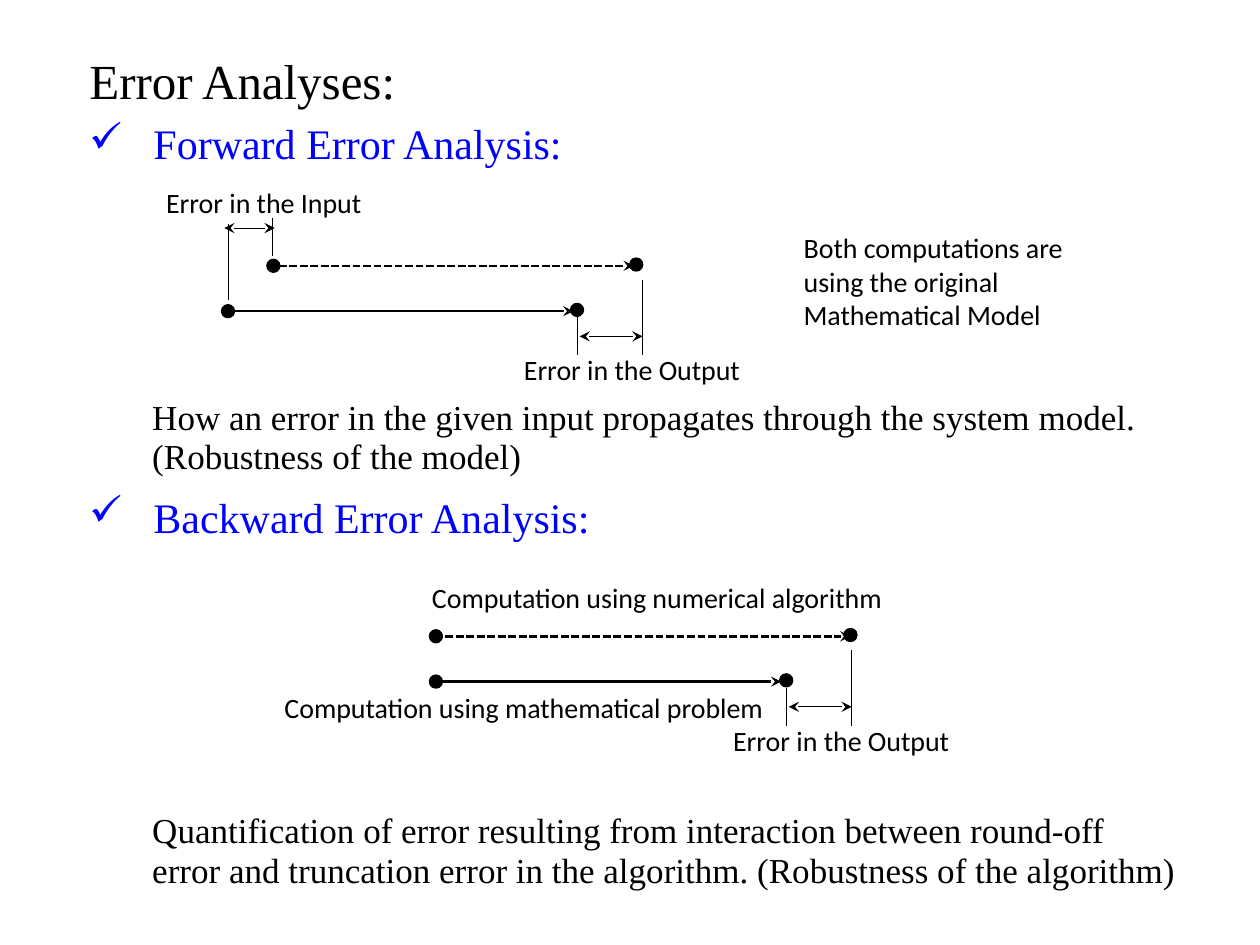
from dataclasses import dataclass

from pptx import Presentation
from pptx.dml.color import RGBColor
from pptx.enum.dml import MSO_LINE
from pptx.enum.shapes import MSO_CONNECTOR, MSO_SHAPE
from pptx.enum.text import MSO_ANCHOR, MSO_AUTO_SIZE, PP_ALIGN
from pptx.oxml.ns import qn
from pptx.shapes.group import GroupShape
from pptx.text.text import TextFrame
from pptx.util import Inches, Pt
from lxml.etree import SubElement

COLORS = {"ink": "000000", "heading": "0000FF"}
SERIF, SANS = "Times New Roman", "Calibri"
LINE_SPACING = 0.94
DOT_SIZE = 0.1


@dataclass
class OutlineItem:
    text: str
    gap_before: float
    is_heading: bool = False


@dataclass
class Computation:
    """An arrow from an input dot to an output dot."""
    y: float
    arrow_from: float
    arrow_to: float
    input_x: float
    output_x: float
    dashed: bool = False


@dataclass
class Label:
    text: str
    left: float
    top: float
    width: float
    height: float = 0.37


@dataclass
class Diagram:
    exact: Computation
    perturbed: Computation
    output_tick_x: float
    labels: list[Label]


OUTLINE = [
    OutlineItem("Forward Error Analysis:", 0, True),
    OutlineItem("How an error in the given input propagates through the system "
                "model. (Robustness of the model)", 131),
    OutlineItem("Backward Error Analysis:", 10, True),
    OutlineItem("Quantification of error resulting from interaction between "
                "round-off error and truncation error in the algorithm. "
                "(Robustness of the algorithm)", 154),
]
FORWARD = Diagram(
    Computation(2.47, 1.85, 4.55, 1.81, 4.58),
    Computation(2.11, 2.13, 5.03, 2.17, 5.05, True),
    5.1,
    [Label("Error in the Input", 1.22, 1.42, 1.86),
     Label("Both computations are using the original Mathematical Model",
           6.28, 1.78, 2.5, 0.91)],
)
BACKWARD = Diagram(
    Computation(5.41, 3.5, 6.2, 3.46, 6.24),
    Computation(5.05, 3.45, 6.75, 3.46, 6.75, True),
    6.76,
    [Label("Computation using numerical algorithm", 3.33, 4.56, 3.81),
     Label("Computation using mathematical problem", 2.16, 5.43, 4.14)],
)


def color(name: str) -> RGBColor:
    return RGBColor.from_string(COLORS[name])


def add_run(paragraph, text: str, font_name: str, size: float,
            color_name: str = "ink") -> None:
    run = paragraph.add_run()
    run.text = text
    run.font.name = font_name
    run.font.size = Pt(size)
    run.font.color.rgb = color(color_name)


def add_outline(frame: TextFrame, items: list[OutlineItem]) -> None:
    for index, item in enumerate(items):
        paragraph = frame.add_paragraph() if index else frame.paragraphs[0]
        paragraph.line_spacing = LINE_SPACING
        paragraph.space_before = Pt(item.gap_before)
        properties = paragraph._p.get_or_add_pPr()
        if item.is_heading:
            properties.set("marL", str(Inches(0.51)))
            properties.set("indent", str(-Inches(0.51)))
            SubElement(properties, qn("a:buChar")).set("char", "✓")
            add_run(paragraph, item.text, SERIF, 24, "heading")
        else:
            properties.set("marL", str(Inches(0.5)))
            properties.set("indent", "0")
            add_run(paragraph, item.text, SERIF, 20)


def add_line(group: GroupShape, x1: float, y1: float, x2: float, y2: float,
             width: float = 0.5, dashed: bool = False,
             arrow_ends: tuple[str, ...] = ()) -> None:
    connector = group.shapes.add_connector(
        MSO_CONNECTOR.STRAIGHT, Inches(x1), Inches(y1), Inches(x2), Inches(y2))
    connector.line.color.rgb = color("ink")
    connector.line.width = Pt(width)
    if dashed:
        connector.line.dash_style = MSO_LINE.SQUARE_DOT
    outline = connector.line._get_or_add_ln()
    for end in arrow_ends:
        SubElement(outline, qn(f"a:{end}")).set("type", "stealth")
    SubElement(connector._element.spPr, qn("a:effectLst"))


def add_measure(group: GroupShape, x1: float, x2: float, y: float) -> None:
    """Draw a thin double-headed arrow spanning an error."""
    add_line(group, x1, y, x2, y, arrow_ends=("headEnd", "tailEnd"))


def add_dot(group: GroupShape, x: float, y: float) -> None:
    dot = group.shapes.add_shape(
        MSO_SHAPE.OVAL, Inches(x - DOT_SIZE / 2), Inches(y - DOT_SIZE / 2),
        Inches(DOT_SIZE), Inches(DOT_SIZE))
    dot.shadow.inherit = False
    dot.fill.solid()
    dot.fill.fore_color.rgb = color("ink")
    dot.line.color.rgb = color("ink")
    dot.line.width = Pt(1)


def add_label(group: GroupShape, label: Label) -> None:
    box = group.shapes.add_textbox(Inches(label.left), Inches(label.top),
                                   Inches(label.width), Inches(label.height))
    box.text_frame.word_wrap = True
    add_run(box.text_frame.paragraphs[0], label.text, SANS, 16)


def add_computation(group: GroupShape, step: Computation) -> None:
    add_line(group, step.arrow_from, step.y, step.arrow_to, step.y,
             1.5, step.dashed, ("tailEnd",))
    add_dot(group, step.input_x, step.y)
    add_dot(group, step.output_x, step.y - 0.01)


def add_output_error(group: GroupShape, x1: float, x2: float, y: float) -> None:
    add_line(group, x2, y - 0.25, x2, y + 0.35)
    add_line(group, x1, y + 0.05, x1, y + 0.35)
    add_measure(group, x1 + 0.02, x2, y + 0.2)
    add_label(group, Label("Error in the Output", x1 - 0.52, y + 0.28, 1.95))


def add_input_error(group: GroupShape) -> None:
    add_line(group, 2.16, 1.73, 2.16, 2.03)
    add_line(group, 1.81, 1.78, 1.81, 2.38)
    add_measure(group, 1.78, 2.18, 1.81)


def add_diagram(slide, diagram: Diagram) -> GroupShape:
    group = slide.shapes.add_group_shape()
    add_computation(group, diagram.exact)
    add_computation(group, diagram.perturbed)
    add_output_error(group, diagram.exact.output_x, diagram.output_tick_x,
                     diagram.exact.y)
    for label in diagram.labels:
        add_label(group, label)
    return group


def main() -> None:
    presentation = Presentation()
    presentation.slide_width, presentation.slide_height = Inches(10), Inches(7.5)
    slide = presentation.slides.add_slide(presentation.slide_layouts[5])

    title = slide.shapes.title
    title.left, title.top = Inches(0.61), Inches(0.35)
    title.width, title.height = Inches(8.85), Inches(0.55)
    title.text_frame.auto_size = MSO_AUTO_SIZE.NONE
    title.text_frame.vertical_anchor = MSO_ANCHOR.TOP
    heading = title.text_frame.paragraphs[0]
    heading.alignment = PP_ALIGN.LEFT
    add_run(heading, "Error Analyses:", SERIF, 28)

    body = slide.shapes.add_textbox(Inches(0.61), Inches(0.92),
                                    Inches(8.85), Inches(6.2))
    body.text_frame.word_wrap = True
    add_outline(body.text_frame, OUTLINE)

    add_input_error(add_diagram(slide, FORWARD))
    add_diagram(slide, BACKWARD)
    presentation.save("out.pptx")


if __name__ == "__main__":
    main()
